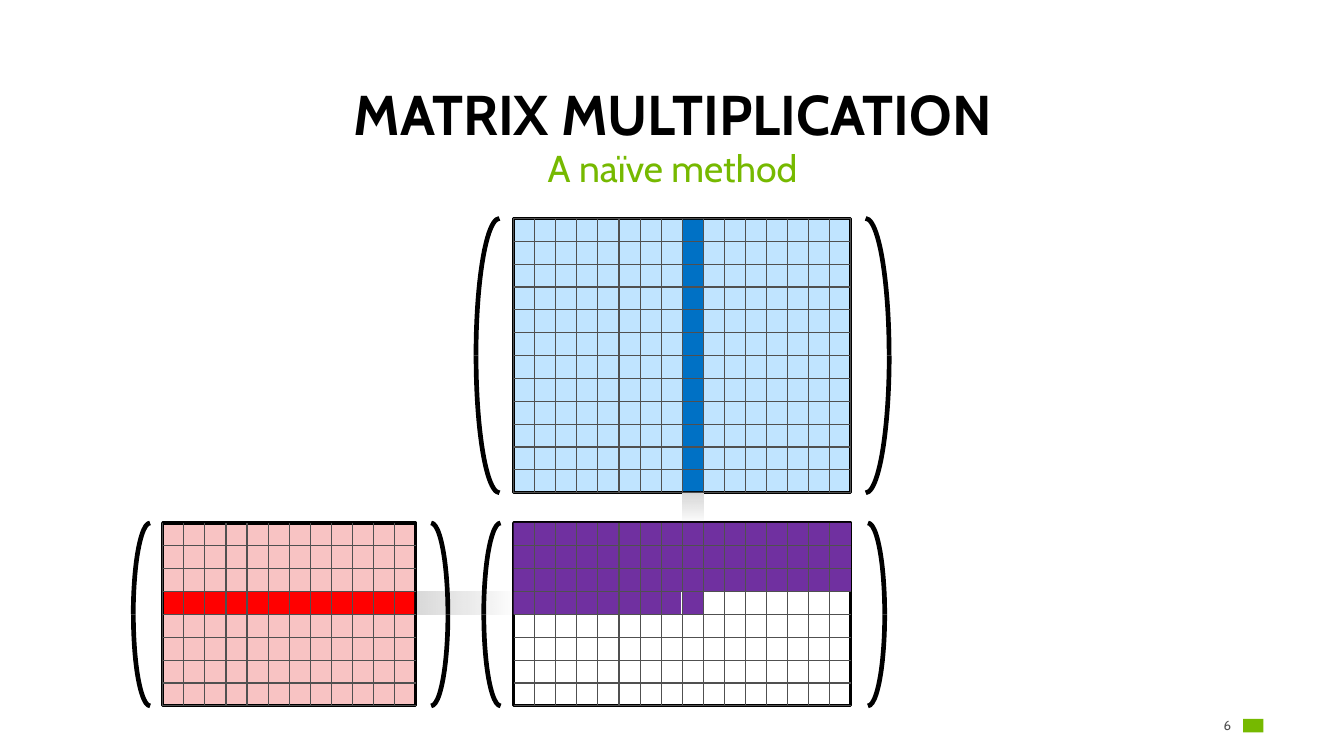
from dataclasses import dataclass

from lxml.etree import SubElement
from pptx import Presentation
from pptx.dml.color import RGBColor
from pptx.enum.shapes import MSO_CONNECTOR, MSO_SHAPE
from pptx.enum.text import MSO_ANCHOR, MSO_AUTO_SIZE, PP_ALIGN
from pptx.oxml.ns import qn
from pptx.util import Pt

COLORS = {
    "black": "000000", "white": "FFFFFF", "green": "76B900", "grid": "505050",
    "purple": "7030A0", "pink": "F8C3C3", "red": "FF0000",
    "sky": "C0E4FF", "blue": "0071C5", "fade_start": "D9D9D9", "fade_end": "D1D1D1",
}
CELL_W, CELL_H = 13.55, 14.7
ROW, COLUMN = 3, 8  # row and column being multiplied


@dataclass(frozen=True)
class Matrix:
    left: float
    top: float
    columns: int
    rows: int
    color: str
    first_line: int  # first vertical and horizontal grid line drawn
    last_line: int  # last vertical grid line drawn
    bracket_width: float
    left_bracket: float
    right_bracket: float

    @property
    def width(self) -> float:
        return self.columns * CELL_W

    @property
    def height(self) -> float:
        return self.rows * CELL_H


@dataclass(frozen=True)
class Band:
    left: float
    top: float
    width: float
    height: float
    color: str
    rotation: int = 0


A = Matrix(104.6, 336.2, 12, 8, "pink", 0, 11, 21.6, 85.7, 266.4)
B = Matrix(330.2, 140.4, 16, 12, "sky", 0, 16, 30.2, 306, 541.4)
C = Matrix(330.2, 336.2, 16, 8, "white", 1, 15, 21.6, 311, 547.2)

row_top = A.top + ROW * CELL_H
column_left = B.left + COLUMN * CELL_W


def color(name: str) -> RGBColor:
    return RGBColor.from_string(COLORS[name])


def upright_band(center_y: float, length: float, fill: str) -> Band:
    """A band over the active column, turned a quarter so its fade runs downwards."""
    center_x = column_left + CELL_W / 2
    return Band(center_x - length / 2, center_y - CELL_W / 2, length, CELL_W, fill, 90)


def write_text(frame, text: str, *, size: float, fill: str, bold: bool = False,
               align=PP_ALIGN.CENTER, anchor=MSO_ANCHOR.TOP,
               line_spacing: float = 1.0, space: float = 0) -> None:
    frame.word_wrap = True
    frame.auto_size = MSO_AUTO_SIZE.NONE
    frame.vertical_anchor = anchor
    paragraph = frame.paragraphs[0]
    paragraph.alignment = align
    paragraph.line_spacing = line_spacing
    paragraph.space_before = paragraph.space_after = Pt(space)
    run = paragraph.add_run()
    run.text = text
    run.font.name = "Cabin"
    run.font.size = Pt(size)
    run.font.bold = bold
    run.font.color.rgb = color(fill)


def place(shape, left: float, top: float, width: float, height: float) -> None:
    shape.left, shape.top = Pt(left), Pt(top)
    shape.width, shape.height = Pt(width), Pt(height)


def draw_band(shapes, band: Band):
    rect = shapes.add_shape(MSO_SHAPE.RECTANGLE, Pt(band.left), Pt(band.top),
                            Pt(band.width), Pt(band.height))
    rect.shadow.inherit = False
    rect.rotation = band.rotation
    rect.line.fill.background()
    if band.color == "fade":
        rect.fill.gradient()
        rect.fill.gradient_angle = 0
        for stop, name in zip(rect.fill.gradient_stops, ("fade_start", "fade_end")):
            stop.color.rgb = color(name)
        end_color = rect.element.xpath(".//a:gs/a:srgbClr")[-1]
        SubElement(end_color, qn("a:alpha")).set("val", "0")
    else:
        rect.fill.solid()
        rect.fill.fore_color.rgb = color(band.color)
    return rect


def draw_matrix(shapes, matrix: Matrix) -> None:
    frame = draw_band(shapes, Band(matrix.left, matrix.top, matrix.width,
                                   matrix.height, matrix.color))
    frame.line.color.rgb = color("black")
    frame.line.width = Pt(2)


def draw_line(shapes, x1: float, y1: float, x2: float, y2: float) -> None:
    line = shapes.add_connector(MSO_CONNECTOR.STRAIGHT, Pt(x1), Pt(y1), Pt(x2), Pt(y2))
    line.line.color.rgb = color("grid")
    line.line.width = Pt(0.75)
    SubElement(line.element.spPr, qn("a:effectLst"))


def draw_grid(shapes, matrix: Matrix) -> None:
    right, bottom = matrix.left + matrix.width, matrix.top + matrix.height
    for column in range(matrix.first_line, matrix.last_line + 1):
        x = matrix.left + column * CELL_W
        draw_line(shapes, x, matrix.top, x, bottom)
    first_row = 0 if matrix is B else 1
    for row in range(first_row, matrix.rows + 1):
        y = matrix.top + row * CELL_H
        draw_line(shapes, right, y, matrix.left, y)


def draw_brackets(shapes, matrix: Matrix) -> None:
    # Each bracket is a lower and an upper quarter arc
    for left, is_right in ((matrix.left_bracket, False), (matrix.right_bracket, True)):
        for rotation, flipped in ((180, is_right), (0, not is_right)):
            arc = shapes.add_shape(MSO_SHAPE.ARC, Pt(left), Pt(matrix.top),
                                   Pt(matrix.bracket_width), Pt(matrix.height))
            arc.shadow.inherit = False
            arc.fill.background()
            arc.line.color.rgb = color("black")
            arc.line.width = Pt(3)
            arc.rotation = rotation
            if flipped:
                arc.element.spPr.xfrm.set("flipH", "1")


presentation = Presentation()
presentation.slide_width, presentation.slide_height = Pt(864), Pt(486)
slide = presentation.slides.add_slide(presentation.slide_layouts[1])
shapes = slide.shapes

# Title and subtitle
title, subtitle = shapes.title, slide.placeholders[1]
place(title, 39.6, 51.8, 785.5, 46.8)
write_text(title.text_frame, "MATRIX MULTIPLICATION", size=36, fill="black", bold=True,
           anchor=MSO_ANCHOR.BOTTOM, line_spacing=0.9)
place(subtitle, 39.6, 92.9, 785.5, 41)
write_text(subtitle.text_frame, "A naïve method", size=24, fill="green",
           line_spacing=0.9, space=9)
bullet_format = subtitle.text_frame.paragraphs[0]._p.get_or_add_pPr()
bullet_format.set("marL", "0")
bullet_format.set("indent", "0")
SubElement(bullet_format, qn("a:buNone"))

# Matrices with the finished results, active row and active column
draw_matrix(shapes, C)
draw_band(shapes, Band(C.left, C.top, C.width, ROW * CELL_H, "purple"))
draw_band(shapes, Band(column_left, row_top, CELL_W, CELL_H, "purple"))
draw_band(shapes, Band(A.left + A.width, row_top, 64, CELL_H, "fade"))
draw_matrix(shapes, A)
draw_band(shapes, Band(C.left, row_top, COLUMN * CELL_W - 0.8, CELL_H, "purple"))
draw_matrix(shapes, B)
draw_band(shapes, Band(A.left + 1, row_top, A.width - 2, CELL_H, "red"))
draw_band(shapes, upright_band(B.top + B.height / 2, 174.4, "blue"))

# Grid lines, fade below the column, brackets
draw_grid(shapes, B)
draw_grid(shapes, C)
draw_band(shapes, upright_band(326.5, 18, "fade"))
for matrix in (B, A, C):
    draw_brackets(shapes, matrix)
draw_grid(shapes, A)

# Page number and plain emblem
page_number = shapes.add_textbox(Pt(769), Pt(459.4), Pt(22.5), Pt(13))
number_frame = page_number.text_frame
number_frame.margin_left = number_frame.margin_right = 0
number_frame.margin_top = number_frame.margin_bottom = 0
write_text(number_frame, "6", size=8.5, fill="grid", align=PP_ALIGN.RIGHT,
           anchor=MSO_ANCHOR.MIDDLE)
draw_band(shapes, Band(799.2, 462.2, 13, 8.6, "green"))

presentation.save("out.pptx")
